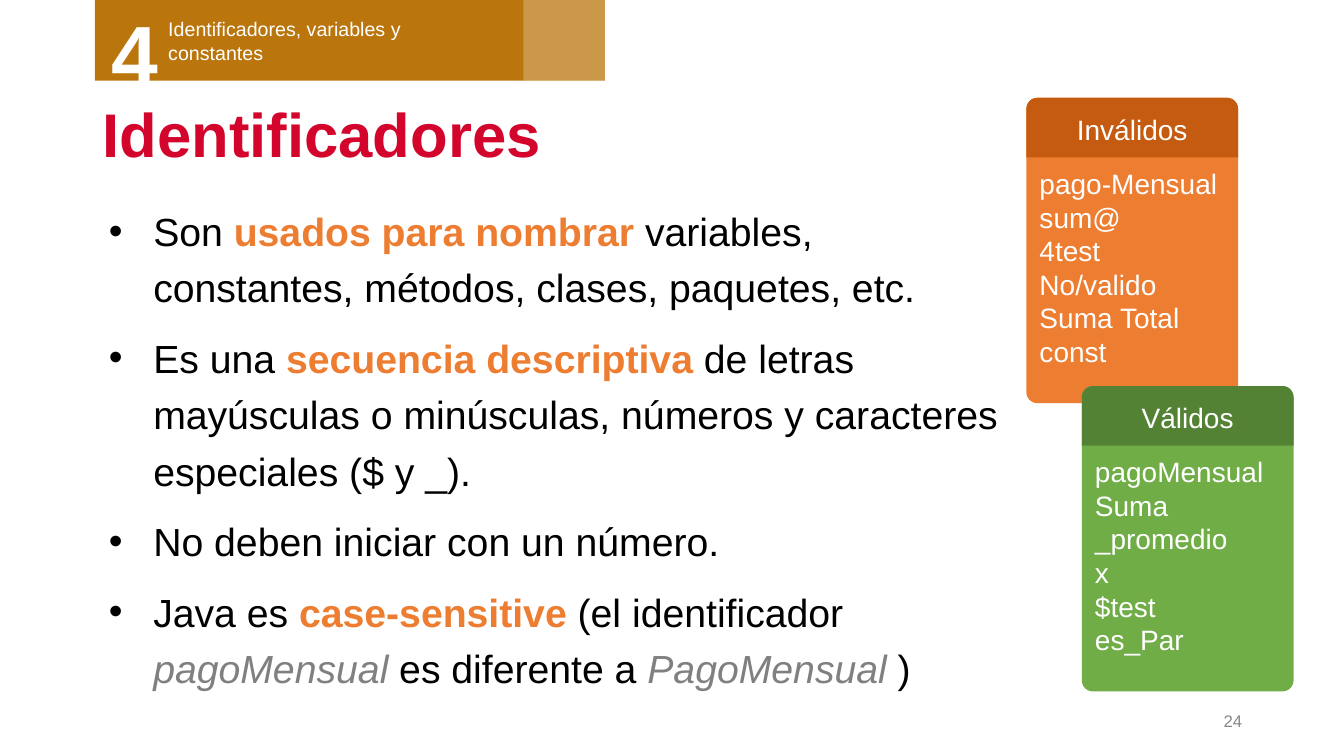
from pptx import Presentation
from pptx.dml.color import RGBColor
from pptx.enum.shapes import MSO_SHAPE
from pptx.enum.text import MSO_ANCHOR, MSO_AUTO_SIZE, PP_ALIGN
from pptx.oxml.ns import qn
from pptx.util import Pt
from lxml import etree

RECTANGLE = MSO_SHAPE.RECTANGLE
ROUNDED = MSO_SHAPE.ROUNDED_RECTANGLE
ROUNDED_TOP = MSO_SHAPE.ROUND_2_SAME_RECTANGLE
TOP, MIDDLE = MSO_ANCHOR.TOP, MSO_ANCHOR.MIDDLE
LEFT, CENTER, RIGHT = PP_ALIGN.LEFT, PP_ALIGN.CENTER, PP_ALIGN.RIGHT
NO_AUTOFIT = MSO_AUTO_SIZE.NONE

EMU_PER_PX = 9144
FONT = "Arial"
COLORS = {
    "white": "FFFFFF", "black": "000000", "red": "D3052C", "gold": "BA750D",
    "gray": "808080", "page_gray": "888888",
    "orange": "ED7D31", "dark_orange": "C55A11",
    "green": "70AD47", "dark_green": "548235",
}
SPAN_STYLES = {
    "plain": ("black", False, False),
    "key": ("orange", True, False),
    "example": ("gray", False, True),
}
BULLETS = [
    [("Son ", "plain"), ("usados para nombrar ", "key"),
     ("variables, constantes, métodos, clases, paquetes, etc.", "plain")],
    [("Es una ", "plain"), ("secuencia descriptiva", "key"),
     (" de letras mayúsculas o minúsculas, números y caracteres especiales ($ y _).", "plain")],
    [("No deben iniciar con un número.", "plain")],
    [("Java es ", "plain"), ("case-sensitive", "key"),
     (" (el identificador ", "plain"), ("pagoMensual", "example"),
     (" es diferente a ", "plain"), ("PagoMensual ", "example"), (")", "plain")],
]
CARDS = [
    (1018, 97, "Inválidos", "dark_orange", "orange",
     ["pago-Mensual", "sum@", "4test", "No/valido", "Suma Total", "const"]),
    (1073, 383, "Válidos", "dark_green", "green",
     ["pagoMensual", "Suma", "_promedio", "x", "$test", "es_Par"]),
]


def px(length):
    return length * EMU_PER_PX


def rgb(color):
    return RGBColor.from_string(COLORS[color])


class SlideBuilder:
    def __init__(self, page):
        self.page = page

    def place(self, box, area):
        box.left, box.top, box.width, box.height = map(px, area)

    def set_text(self, box, lines, size, color, align=LEFT, anchor=TOP,
                 insets=(10, 5, 10, 5), bold=False):
        frame = box.text_frame
        frame.word_wrap = True
        frame.auto_size = NO_AUTOFIT
        frame.vertical_anchor = anchor
        (frame.margin_left, frame.margin_top,
         frame.margin_right, frame.margin_bottom) = map(px, insets)
        frame.text = "\n".join(lines)
        for para in frame.paragraphs:
            para.alignment = align
            font = para.font
            font.name, font.size, font.bold = FONT, Pt(size), bold
            font.color.rgb = rgb(color)

    def shape(self, kind, area, color, radius=None, alpha=None):
        box = self.page.shapes.add_shape(kind, *map(px, area))
        box.shadow.inherit = False
        box.fill.solid()
        box.fill.fore_color.rgb = rgb(color)
        box.line.fill.background()
        if radius is not None:
            box.adjustments[0] = radius
        if alpha is not None:
            fill_color = box._element.spPr.find(qn("a:solidFill"))[0]
            etree.SubElement(fill_color, qn("a:alpha")).set("val", str(alpha * 1000))
        return box

    def text(self, area, line, size, color, **style):
        box = self.page.shapes.add_textbox(*map(px, area))
        self.set_text(box, [line], size, color, **style)

    def title(self, area, line, size, color):
        box = self.page.shapes.title
        self.place(box, area)
        self.set_text(box, [line], size, color, anchor=MIDDLE, bold=True)
        box.text_frame.paragraphs[0].line_spacing = 0.9

    def bullets(self, area, items, size):
        box = self.page.placeholders[1]
        self.place(box, area)
        self.set_text(box, [""] * len(items), size, "black")
        for index, (para, spans) in enumerate(zip(box.text_frame.paragraphs, items)):
            properties = para._p.get_or_add_pPr()
            properties.set("marL", str(px(50)))
            properties.set("indent", str(px(-44)))
            para.line_spacing = 1.2
            para.space_before = Pt(10 if index else 0)
            for words, style in spans:
                span = para.add_run()
                span.text = words
                color, span.font.bold, span.font.italic = SPAN_STYLES[style]
                span.font.color.rgb = rgb(color)

    def card(self, left, top, heading, heading_color, color, names):
        body = self.shape(ROUNDED, (left, top, 210, 303), color, radius=0.052)
        self.set_text(body, names, 20, "white", insets=(10, 65, 10, 5))
        header = self.shape(ROUNDED_TOP, (left, top, 210, 59), heading_color, radius=0.186)
        self.set_text(header, [heading], 20, "white", align=CENTER, anchor=MIDDLE)


def main():
    deck = Presentation()
    deck.slide_width, deck.slide_height = px(1333), px(750)
    page = deck.slides.add_slide(deck.slide_layouts[1])
    builder = SlideBuilder(page)
    builder.shape(RECTANGLE, (94, 0, 506, 80), "gold")
    builder.text((157, 12, 275, 57), "Identificadores, variables y constantes", 14, "white")
    builder.text((101, -3, 112, 111), "4", 60, "white", bold=True)
    builder.shape(RECTANGLE, (519, 0, 81, 80), "white", alpha=25)
    builder.title((92, 93, 1150, 86), "Identificadores", 44, "red")
    builder.text((942, 695, 300, 40), "24", 12, "page_gray", align=RIGHT, anchor=MIDDLE)
    builder.bullets((92, 191, 918, 519), BULLETS, 28)
    for card in CARDS:
        builder.card(*card)
    deck.save("out.pptx")


if __name__ == "__main__":
    main()
